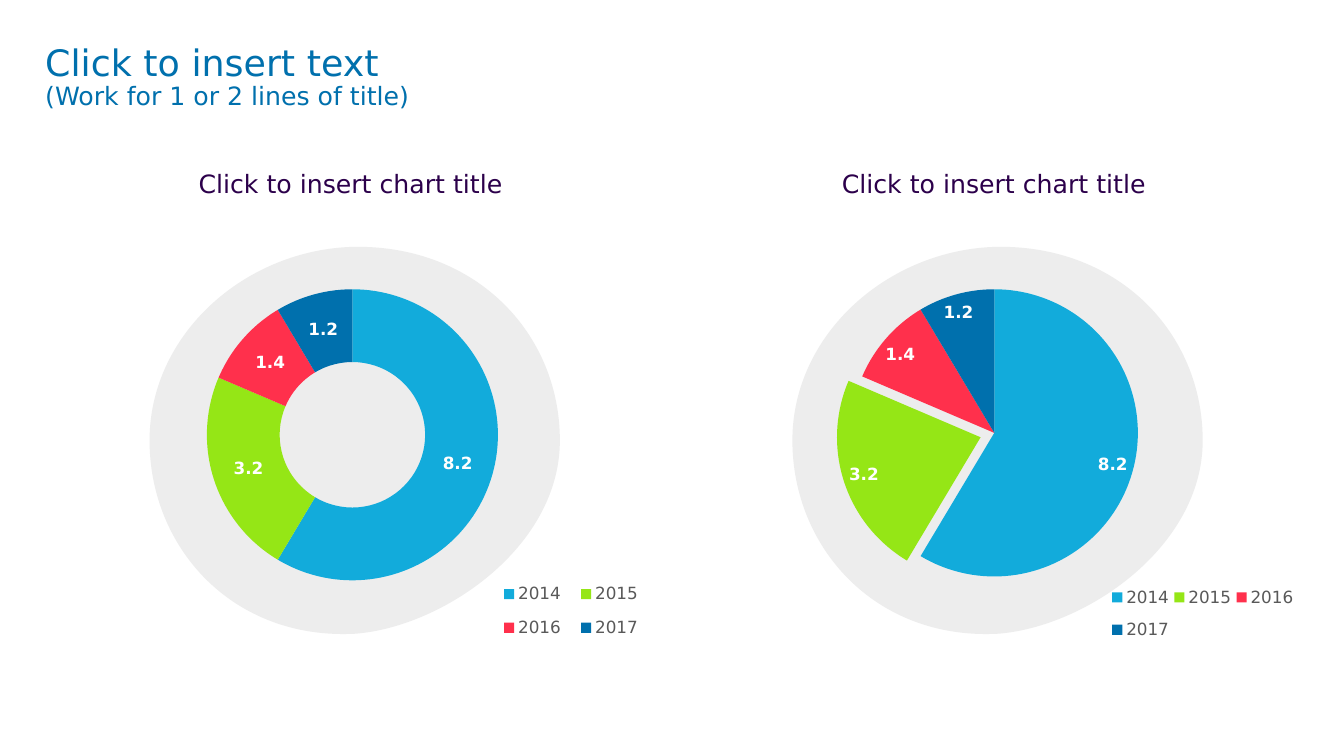
"""Build a slide that pairs a doughnut chart with an exploded pie chart."""
from dataclasses import dataclass
from typing import Any, Optional

import lxml.etree
import pptx
import pptx.chart.data
import pptx.dml.color
import pptx.enum.chart
import pptx.enum.text
import pptx.oxml
import pptx.oxml.ns
import pptx.util

Cm = pptx.util.Cm
Pt = pptx.util.Pt
Chart = pptx.enum.chart.XL_CHART_TYPE
Label = pptx.enum.chart.XL_LABEL_POSITION
Anchor = pptx.enum.text.MSO_ANCHOR

FONT = "DejaVu Sans"
BLUE = "0070AD"
SLICES = {"2014": (8.2, "12ABDB"), "2015": (3.2, "95E616"),
          "2016": (1.4, "FF304C"), "2017": (1.2, BLUE)}
BLOB_START = (0, 4.88)
BLOB_CURVES = [
    ((0, 2.18), (2.44, 0.05), (5.18, 0)),
    ((8.23, -0.03), (10.34, 2.18), (10.34, 4.88)),
    ((10.34, 7.57), (7.39, 9.58), (5.18, 9.75)),
    ((2.08, 9.91), (0, 7.57), BLOB_START),
]
BLOB_TOP = 6.22


@dataclass
class Panel:
    """One half of the slide, with lengths in centimetres."""
    heading_index: int
    heading_left: float
    blob_left: float
    chart_left: float
    kind: Any
    plot_area: tuple[float, ...]
    legend_area: tuple[float, ...]
    label_position: Optional[Any] = None
    hole: Optional[int] = None
    exploded: Optional[int] = None


PANELS = [
    Panel(1, 1.14, 3.77, 1.18, Chart.DOUGHNUT, (0.224, 0.037, 0.553, 0.754),
          (0.725, 0.765, 0.267, 0.21), hole=66),
    Panel(3, 17.35, 19.97, 17.54, Chart.PIE, (0.216, 0.037, 0.545, 0.744),
          (0.673, 0.777, 0.314, 0.2), label_position=Label.BEST_FIT, exploded=1),
]


def colour(value: str) -> pptx.dml.color.RGBColor:
    """Turn a hex string into a colour."""
    return pptx.dml.color.RGBColor.from_string(value)


def assign(target: Any, **values: Any) -> None:
    """Set each named attribute on the target."""
    for name, value in values.items():
        setattr(target, name, value)


def style_font(font: Any, size: float, value: str, bold: bool = False) -> None:
    """Apply the slide typeface with a size and colour."""
    assign(font, name=FONT, size=Pt(size), bold=bold)
    font.color.rgb = colour(value)


def prepare_box(box: Any, area: tuple[float, ...], anchor: Any) -> Any:
    """Place a placeholder and return its first paragraph."""
    assign(box, **dict(zip(("left", "top", "width", "height"), map(Cm, area))))
    assign(box.text_frame, margin_left=0, margin_top=0, margin_right=0, margin_bottom=0,
           word_wrap=True, vertical_anchor=anchor,
           auto_size=pptx.enum.text.MSO_AUTO_SIZE.NONE)
    return box.text_frame.paragraphs[0]


def add_span(para: Any, text: str, size: float, value: str) -> None:
    """Add a formatted run to a paragraph."""
    span = para.add_run()
    span.text = text
    style_font(span.font, size, value)


def add_title(page: Any) -> None:
    """Fill the title with its two lines."""
    para = prepare_box(page.shapes.title, (1.14, 1.13, 30.4, 2.39), Anchor.TOP)
    assign(para, alignment=pptx.enum.text.PP_ALIGN.LEFT, line_spacing=0.9)
    add_span(para, "Click to insert text", 26, BLUE)
    para.add_line_break()
    add_span(para, "(Work for 1 or 2 lines of title)", 18, BLUE)


def add_heading(page: Any, panel: Panel) -> None:
    """Fill the heading above a chart."""
    box = page.placeholders[panel.heading_index]
    para = prepare_box(box, (panel.heading_left, 3.93, 15.39, 1.35), Anchor.MIDDLE)
    assign(para, alignment=pptx.enum.text.PP_ALIGN.CENTER, line_spacing=Pt(22),
           space_before=Pt(0), space_after=Pt(6))
    add_span(para, "Click to insert chart title", 18, "2C004B")


def add_blob(page: Any, left: float) -> None:
    """Draw the rounded grey backdrop from four curves."""
    corners = [(Cm(left + x), Cm(BLOB_TOP + y)) for *_, (x, y) in BLOB_CURVES]
    builder = page.shapes.build_freeform(*corners[-1])
    builder.add_line_segments(corners, close=True)
    blob = builder.convert_to_shape()
    qualified = pptx.oxml.ns.qn
    for segment, curve in zip(blob.element.xpath(".//a:lnTo"), BLOB_CURVES):
        bend = lxml.etree.Element(qualified("a:cubicBezTo"))
        for x, y in curve:
            lxml.etree.SubElement(bend, qualified("a:pt"), x=str(int(Cm(x))), y=str(int(Cm(y))))
        segment.getparent().replace(segment, bend)
    blob.shadow.inherit = False
    blob.fill.solid()
    blob.fill.fore_color.rgb = colour("EDEDED")
    blob.line.fill.background()


def make_layout(area: tuple[float, ...], inner: bool = False) -> Any:
    """Build a manual chart layout from fractions."""
    target = '<c:layoutTarget val="inner"/>' if inner else ""
    modes = '<c:xMode val="edge"/><c:yMode val="edge"/>'
    sizes = "".join(f'<c:{name} val="{value}"/>' for name, value in zip("xywh", area))
    return pptx.oxml.parse_xml(
        f'<c:layout {pptx.oxml.ns.nsdecls("c")}><c:manualLayout>'
        f"{target}{modes}{sizes}</c:manualLayout></c:layout>")


def add_chart(page: Any, panel: Panel) -> None:
    """Draw a panel's chart with its labels and legend."""
    data = pptx.chart.data.CategoryChartData()
    data.categories = list(SLICES)
    data.add_series("Series 1", [value for value, _ in SLICES.values()])
    chart = page.shapes.add_chart(panel.kind, Cm(panel.chart_left), Cm(6.93),
                                  Cm(15.39), Cm(9.73), data).chart
    style_font(chart.font, 10, "000000")
    assign(chart, has_title=False, has_legend=True)
    assign(chart.legend, position=pptx.enum.chart.XL_LEGEND_POSITION.BOTTOM,
           include_in_layout=False)
    style_font(chart.legend.font, 12, "595959")

    plot = chart.plots[0]
    plot.vary_by_categories = True
    series = plot.series[0]
    for index, (_, value) in enumerate(SLICES.values()):
        form = series.points[index].format
        form.fill.solid()
        form.fill.fore_color.rgb = colour(value)
        form.line.fill.background()
    labels = series.data_labels
    assign(labels, show_value=True, show_percentage=False, show_category_name=False,
           show_legend_key=False)
    if panel.label_position is not None:
        labels.position = panel.label_position
    style_font(labels.font, 12, "FFFFFF", bold=True)

    root = chart.element
    area = root.xpath(".//c:plotArea")[0]
    for old in root.xpath(".//c:plotArea/c:layout | .//c:legend/c:layout"):
        old.getparent().remove(old)
    area.insert(0, make_layout(panel.plot_area, inner=True))
    root.xpath(".//c:legendPos")[0].addnext(make_layout(panel.legend_area))
    if panel.hole is not None:
        root.xpath(".//c:holeSize")[0].set("val", str(panel.hole))
    if panel.exploded is not None:
        explosion = lxml.etree.Element(pptx.oxml.ns.qn("c:explosion"), val="10")
        root.xpath(".//c:dPt/c:spPr")[panel.exploded].addprevious(explosion)


def main() -> None:
    """Build and save the deck."""
    deck = pptx.Presentation()
    assign(deck, slide_width=Cm(33.87), slide_height=Cm(19.05))
    page = deck.slides.add_slide(deck.slide_layouts[4])
    for index in (2, 4):
        unused = page.placeholders[index].element
        unused.getparent().remove(unused)
    add_title(page)
    for panel in PANELS:
        add_heading(page, panel)
        add_blob(page, panel.blob_left)
        add_chart(page, panel)
    deck.save("out.pptx")


if __name__ == "__main__":
    main()
